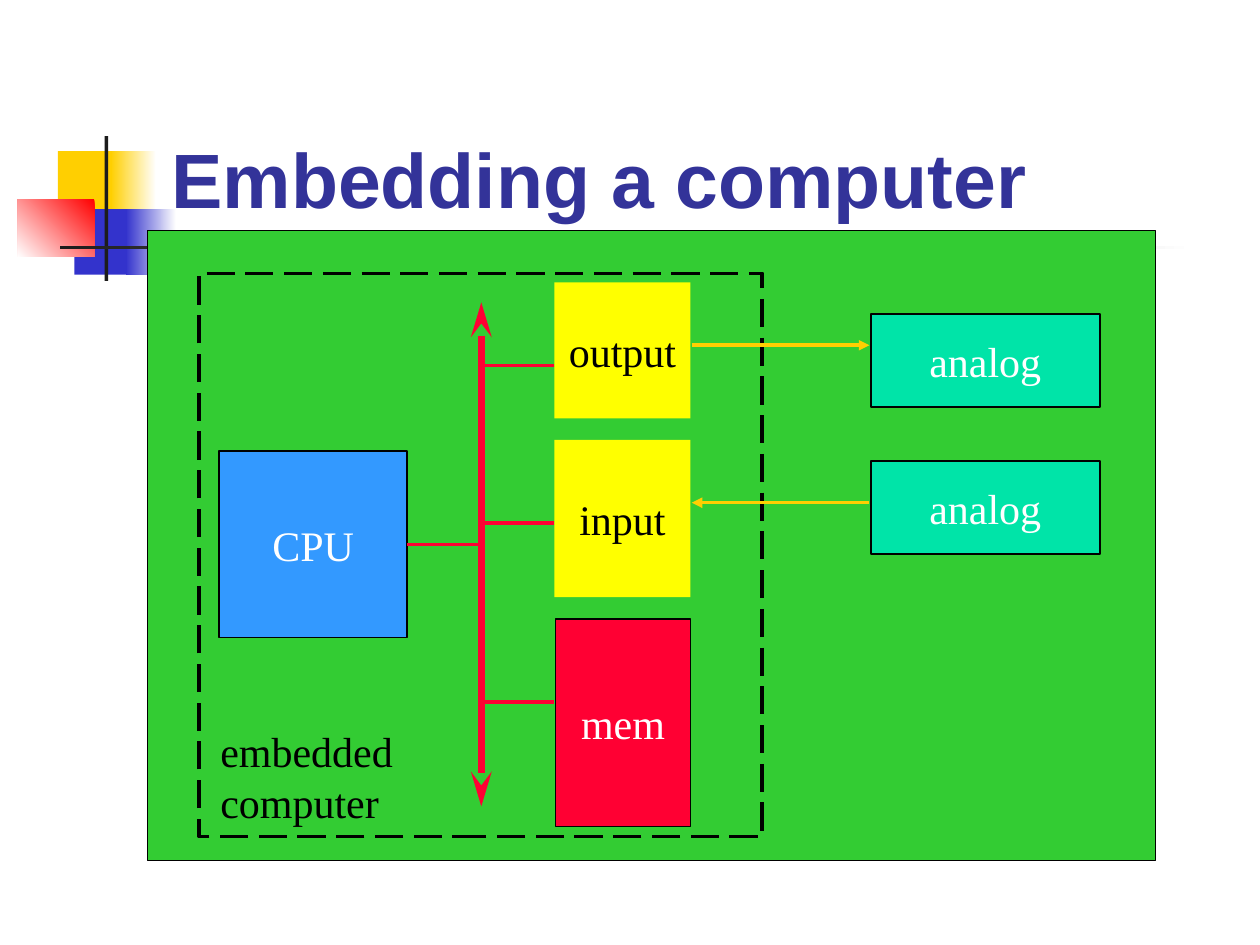
from lxml import etree
from pptx import Presentation
from pptx.dml.color import RGBColor
from pptx.enum.dml import MSO_LINE
from pptx.enum.shapes import MSO_CONNECTOR, MSO_SHAPE
from pptx.enum.text import MSO_ANCHOR, MSO_AUTO_SIZE, PP_ALIGN
from pptx.oxml.ns import qn
from pptx.util import Inches, Pt

RECTANGLE = MSO_SHAPE.RECTANGLE
STRAIGHT = MSO_CONNECTOR.STRAIGHT
LONG_DASH = MSO_LINE.LONG_DASH
LEFT, CENTER = PP_ALIGN.LEFT, PP_ALIGN.CENTER
TOP, MIDDLE, BOTTOM = MSO_ANCHOR.TOP, MSO_ANCHOR.MIDDLE, MSO_ANCHOR.BOTTOM
RIGHT_SIDE = 3
TITLE_ONLY = 5

COLORS = {
    "white": "FFFFFF",
    "black": "000000",
    "charcoal": "1C1C1C",
    "gold": "FFCF01",
    "indigo": "3333CC",
    "bright_red": "FF0000",
    "title": "333399",
    "board": "33CC33",
    "cpu": "3399FF",
    "red": "FF0033",
    "yellow": "FFFF00",
    "analog": "00E4A8",
}


def color(name):
    return RGBColor.from_string(COLORS[name])


def write_text(shape, text, font="Times New Roman", size=24, ink="black",
               bold=False, align=LEFT, anchor=TOP, wrap=False):
    frame = shape.text_frame
    frame.text = text
    frame.auto_size = MSO_AUTO_SIZE.NONE
    frame.word_wrap = wrap
    frame.vertical_anchor = anchor
    for paragraph in frame.paragraphs:
        paragraph.alignment = align
        paragraph.font.name = font
        paragraph.font.size = Pt(size)
        paragraph.font.bold = bold
        paragraph.font.color.rgb = color(ink)


def add_box(slide, bounds, fill=None, line_width=0, dash=None):
    shape = slide.shapes.add_shape(RECTANGLE, *map(Inches, bounds))
    shape.shadow.inherit = False
    if fill:
        shape.fill.solid()
        shape.fill.fore_color.rgb = color(fill)
    else:
        shape.fill.background()
    if line_width:
        shape.line.color.rgb = color("black")
        shape.line.width = Pt(line_width)
        if dash:
            shape.line.dash_style = dash
    else:
        shape.line.fill.background()
    return shape


def add_gradient_box(slide, bounds, start, end, angle):
    shape = add_box(slide, bounds)
    shape.fill.gradient()
    shape.fill.gradient_angle = angle
    for stop, name, position in zip(shape.fill.gradient_stops, (start, end), (0, 1)):
        stop.color.rgb = color(name)
        stop.position = position


def add_block(slide, text, bounds, fill, ink="white", line_width=1):
    shape = add_box(slide, bounds, fill, line_width)
    write_text(shape, text, ink=ink, align=CENTER, anchor=MIDDLE)
    return shape


def add_line(slide, start, end, ink, width=2, head=None, tail=None, length="med"):
    connector = slide.shapes.add_connector(STRAIGHT, *map(Inches, (*start, *end)))
    connector.line.color.rgb = color(ink)
    connector.line.width = Pt(width)
    line = connector.line._get_or_add_ln()
    for tag, kind in (("a:headEnd", head), ("a:tailEnd", tail)):
        if kind:
            etree.SubElement(line, qn(tag), type=kind, w="med", len=length)
    etree.SubElement(connector._element.spPr, qn("a:effectLst"))
    return connector


def add_ornament(slide):
    add_box(slide, (0.46, 1.2, 0.48, 0.52), "gold")
    add_gradient_box(slide, (0.88, 1.2, 0.36, 0.52), "white", "gold", 180)
    add_box(slide, (0.59, 1.66, 0.46, 0.52), "indigo")
    add_gradient_box(slide, (1, 1.66, 0.4, 0.52), "white", "indigo", 180)
    add_gradient_box(slide, (0.14, 1.58, 0.61, 0.46), "bright_red", "white", 225)
    add_box(slide, (0.83, 1.08, 0.03, 1.15), "charcoal")
    add_gradient_box(slide, (0.48, 1.95, 9, 0.03), "white", "charcoal", 180)


def add_title(slide, text):
    title = slide.shapes.title
    title.left, title.top = Inches(1.26), Inches(0.23)
    title.width, title.height = Inches(8.52), Inches(1.6)
    write_text(title, text, font="Arial", size=44, ink="title", bold=True,
               anchor=BOTTOM, wrap=True)


def add_computer(slide):
    bus_x, device_x = 3.82, 4.4
    cpu = add_block(slide, "CPU", (1.74, 3.58, 1.49, 1.48), "cpu")
    add_block(slide, "mem", (4.41, 4.91, 1.07, 1.65), "red")
    for text, top, height in (("input", 3.49, 1.25), ("output", 2.24, 1.08)):
        add_block(slide, text, (device_x, top, 1.08, height), "yellow",
                  ink="black", line_width=0)
    add_line(slide, (bus_x, 2.4), (bus_x, 6.4), "red", width=4,
             head="stealth", tail="stealth", length="lg")
    cpu_link = add_line(slide, (3.23, 4.32), (bus_x, 4.32), "red")
    cpu_link.begin_connect(cpu, RIGHT_SIDE)
    for y in (2.9, 4.15, 5.57):
        add_line(slide, (bus_x, y), (device_x, y), "red")
    add_box(slide, (1.58, 2.17, 4.47, 4.47), line_width=2, dash=LONG_DASH)


def add_analog_parts(slide):
    port_x, analog_x = 5.49, 6.9
    add_line(slide, (port_x, 2.74), (analog_x, 2.74), "gold", tail="triangle")
    add_line(slide, (analog_x, 3.99), (port_x, 3.99), "gold", tail="triangle")
    for top in (2.49, 3.66):
        add_block(slide, "analog", (6.91, top, 1.82, 0.74), "analog")


def add_caption(slide, text):
    caption = slide.shapes.add_textbox(*map(Inches, (1.65, 5.71, 1.57, 0.9)))
    write_text(caption, text)


def main():
    presentation = Presentation()
    presentation.slide_width, presentation.slide_height = Inches(10), Inches(7.5)
    slide = presentation.slides.add_slide(presentation.slide_layouts[TITLE_ONLY])
    add_title(slide, "Embedding a computer")
    add_ornament(slide)
    add_box(slide, (1.17, 1.83, 8, 5), "board", line_width=0.75)
    add_computer(slide)
    add_analog_parts(slide)
    add_caption(slide, "embedded\ncomputer")
    presentation.save("out.pptx")


if __name__ == "__main__":
    main()
